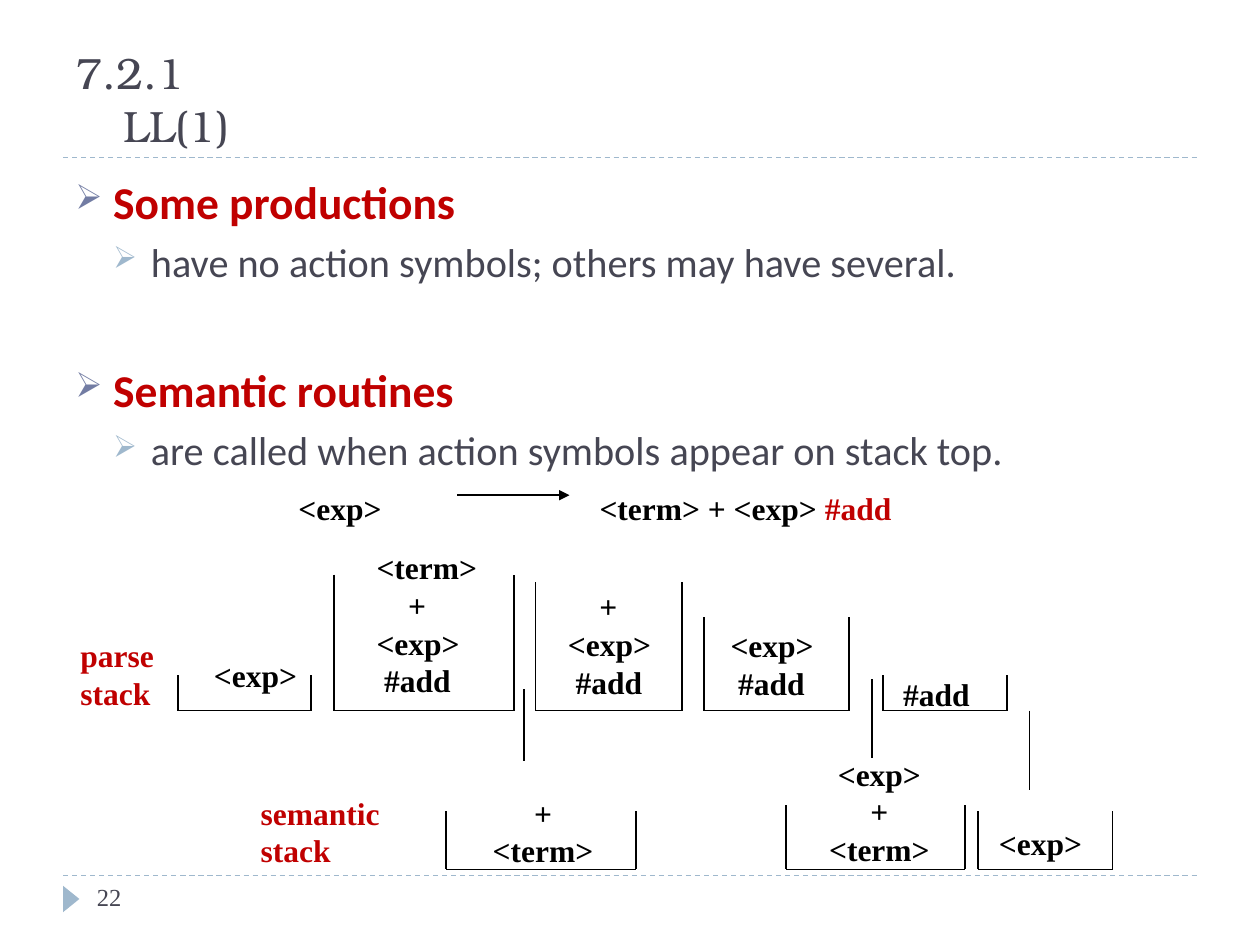
from lxml.etree import SubElement
from pptx import Presentation
from pptx.dml.color import RGBColor
from pptx.enum.dml import MSO_LINE
from pptx.enum.shapes import MSO_CONNECTOR, MSO_SHAPE
from pptx.enum.text import MSO_ANCHOR, MSO_AUTO_SIZE, PP_ALIGN
from pptx.oxml.ns import qn
from pptx.util import Inches, Pt

COLORS = {"ink": "000000", "text": "464653", "red": "C00000",
          "violet": "727CA3", "blue": "9FB8CD"}
TITLE_FONT, BODY_FONT, DIAGRAM_FONT = "TeX Gyre Bonum", "Calibri", "Times New Roman"
PARSE_BASE, SEMANTIC_BASE = 5.64, 6.9
SYMBOL_INDENT = {"+": 0.25, "#add": 0.06}


def rgb(name):
    """Return the named palette colour."""
    return RGBColor.from_string(COLORS[name])


def add_run(p, text, font, size, color, bold=False):
    """Add one formatted run to a paragraph."""
    r = p.add_run()
    r.text = text
    r.font.name, r.font.size, r.font.bold = font, Pt(size), bold
    r.font.color.rgb = rgb(color)


def set_indent(p, left, first=0):
    """Set the left margin and first-line indent of a paragraph in inches."""
    pPr = p._p.get_or_add_pPr()
    pPr.set("marL", str(Inches(left)))
    pPr.set("indent", str(Inches(first)))
    return pPr


def add_line(slide, x1, y1, x2, y2, color="ink", width=1):
    """Draw a straight line without a shadow."""
    line = slide.shapes.add_connector(
        MSO_CONNECTOR.STRAIGHT, Inches(x1), Inches(y1), Inches(x2), Inches(y2))
    line.line.color.rgb = rgb(color)
    line.line.width = Pt(width)
    SubElement(line._element.spPr, qn("a:effectLst"))
    return line


def add_box(slide, left, top, width, height, wrap=True):
    """Add a text box and return its text frame."""
    sp = slide.shapes.add_textbox(
        Inches(left), Inches(top), Inches(width), Inches(height))
    tf = sp.text_frame
    tf.word_wrap = wrap
    return tf


def add_symbols(slide, left, top, width, lines, color="ink", centered=False):
    """Stack bold symbols in a box, one paragraph each."""
    tf = add_box(slide, left, top, width, 0.1 + 0.3 * len(lines), wrap=False)
    for i, text in enumerate(lines):
        p = tf.add_paragraph() if i else tf.paragraphs[0]
        if centered:
            p.alignment = PP_ALIGN.CENTER
        elif len(lines) > 1:
            set_indent(p, SYMBOL_INDENT.get(text, 0))
        add_run(p, text, DIAGRAM_FONT, 18, color, True)
    return tf


def add_stack(slide, left, top, right, base):
    """Draw an open-topped stack from three lines."""
    add_line(slide, left, top, left, base)
    add_line(slide, left, base, right, base)
    add_line(slide, right, base, right, top)


def add_frame(slide):
    """Draw the dashed rules, the marker and the page number."""
    for y in (6.95, 1.25):
        add_line(slide, 0.5, y, 9.5, y, "blue", 0.75).line.dash_style = MSO_LINE.DASH
    sp = slide.shapes.add_shape(MSO_SHAPE.ISOSCELES_TRIANGLE, Inches(0.46),
                                Inches(7.07), Inches(0.21), Inches(0.13))
    sp.rotation = 90
    sp.shadow.inherit = False
    sp.fill.solid()
    sp.fill.fore_color.rgb = rgb("blue")
    sp.line.fill.background()
    tf = add_box(slide, 0.67, 6.95, 2.17, 0.4)
    add_run(tf.paragraphs[0], "22", DIAGRAM_FONT, 14, "text")


def add_title(slide, left, top, width, height):
    """Place and format the title placeholder."""
    sp = slide.shapes.title
    sp.left, sp.top = Inches(left), Inches(top)
    sp.width, sp.height = Inches(width), Inches(height)
    tf = sp.text_frame
    tf.auto_size = MSO_AUTO_SIZE.NONE
    tf.vertical_anchor = MSO_ANCHOR.BOTTOM
    p = tf.paragraphs[0]
    p.alignment = PP_ALIGN.LEFT
    set_indent(p, 0.38, -0.38)
    add_run(p, "7.2.1", TITLE_FONT, 25, "text")
    p.add_line_break()
    add_run(p, "LL(1)", TITLE_FONT, 25, "text")


def add_body(slide, left, top, width, height):
    """Write the two headed bullet points."""
    tf = add_box(slide, left, top, width, height)
    points = [(0, "Some productions", 0),
              (1, "have no action symbols; others may have several.", 5),
              (0, "Semantic routines", 44),
              (1, "are called when action symbols appear on stack top.", 5)]
    styles = [(26, "red", True, "violet"), (23, "text", False, "blue")]
    for i, (level, text, before) in enumerate(points):
        size, color, bold, bullet = styles[level]
        p = tf.add_paragraph() if i else tf.paragraphs[0]
        p.level = level
        p.space_before = Pt(before)
        pPr = set_indent(p, 0.3 * (level + 1), -0.3)
        bu_color = SubElement(pPr, qn("a:buClr"))
        SubElement(bu_color, qn("a:srgbClr"), val=COLORS[bullet])
        SubElement(pPr, qn("a:buSzPct"), val="76000")
        SubElement(pPr, qn("a:buChar"), char="➢")
        add_run(p, text, BODY_FONT, size, color, bold)


def add_production(slide, left, top):
    """Write the production with its arrow and action symbol."""
    add_symbols(slide, left, top, 0.86, ["<exp>"])
    arrow = add_line(slide, left + 1.36, top + 0.1, left + 2.25, top + 0.1)
    SubElement(arrow.line._get_or_add_ln(), qn("a:tailEnd"), type="triangle")
    tf = add_symbols(slide, left + 2.39, top, 2.52, ["<term> + <exp> "])
    add_run(tf.paragraphs[0], "#add", DIAGRAM_FONT, 18, "red", True)


def add_parse_row(slide, base):
    """Draw the successive parse stacks standing on one base line."""
    add_symbols(slide, 0.54, base - 0.64, 0.78, ["parse", "stack"], "red")
    symbols = ["<term>", "+", "<exp>", "#add"]
    stacks = [(1.41, 5.36, 2.47, 1.6, 5.16, 0.86, ["<exp>"]),
              (2.65, 4.56, 4.08, 2.89, 4.3, 1, symbols),
              (4.25, 4.62, 5.41, 4.41, 4.61, 0.86, symbols[1:]),
              (5.59, 4.9, 6.74, 5.7, 4.92, 0.86, symbols[2:]),
              (7.01, 5.36, 7.99, 7.07, 5.31, 0.73, symbols[3:])]
    for left, top, right, x, y, width, lines in stacks:
        add_stack(slide, left, top, right, base)
        add_symbols(slide, x, y, width, lines)


def add_semantic_row(slide, base):
    """Draw the semantic stacks and the lines leading to them."""
    add_symbols(slide, 1.97, base - 0.65, 1.21, ["semantic", "stack"], "red")
    for x, top, bottom in [(4.16, 5.47, 6.04), (6.92, 5.39, 6.02), (8.17, 5.64, 6.27)]:
        add_line(slide, x, top, x, bottom)
    stacks = [(3.54, 6.44, 5.05, 3.81, 6.25, 1, ["+", "<term>"]),
              (6.24, 6.39, 7.66, 6.48, 5.94, 1, ["<exp>", "+", "<term>"]),
              (7.76, 6.44, 8.83, 7.83, 6.49, 0.86, ["<exp>"])]
    for left, top, right, x, y, width, lines in stacks:
        add_stack(slide, left, top, right, base)
        add_symbols(slide, x, y, width, lines, centered=len(lines) > 1)


def main():
    """Build and save the slide."""
    prs = Presentation()
    prs.slide_width, prs.slide_height = Inches(10), Inches(7.5)
    slide = prs.slides.add_slide(prs.slide_layouts[5])
    add_frame(slide)
    add_title(slide, 0.5, 0.17, 9, 1.08)
    add_body(slide, 0.5, 1.33, 9, 2.49)
    add_production(slide, 2.27, 3.83)
    add_parse_row(slide, PARSE_BASE)
    add_semantic_row(slide, SEMANTIC_BASE)
    prs.save("out.pptx")


if __name__ == "__main__":
    main()
